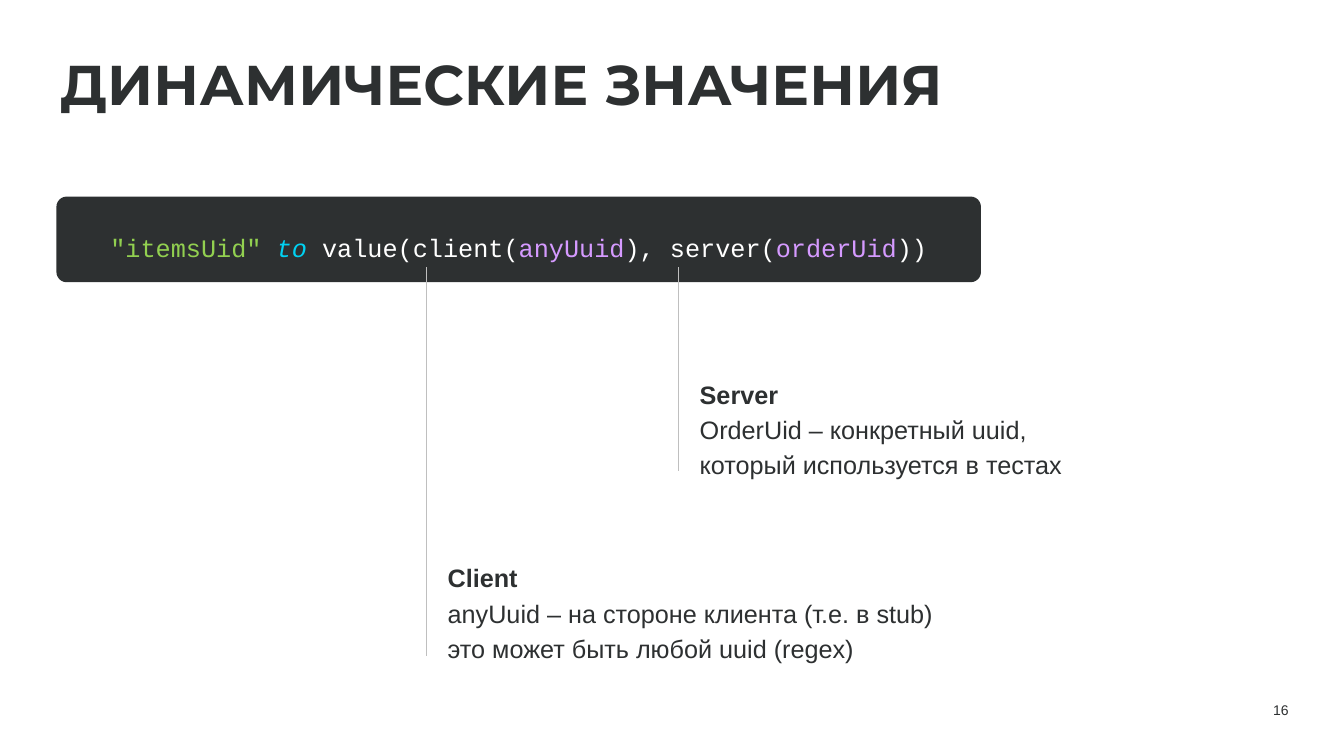
import pptx
import pptx.util
import pptx.dml.color
import pptx.enum.shapes
import pptx.enum.text
import lxml.etree
from dataclasses import dataclass

Inches = pptx.util.Inches
Pt = pptx.util.Pt
ALIGN = pptx.enum.text.PP_ALIGN
ANCHOR = pptx.enum.text.MSO_ANCHOR


@dataclass(frozen=True)
class Theme:
    dark: str = "2D3031"
    white: str = "FFFFFF"
    rule: str = "BFBFBF"
    string: str = "92D050"
    keyword: str = "00D1F2"
    argument: str = "D59AFF"
    heading_font: str = "Montserrat"
    body_font: str = "Arial"
    code_font: str = "Courier New"
    title_size: int = 40
    body_size: int = 18
    number_size: int = 10


THEME = Theme()


def rgb(value):
    return pptx.dml.color.RGBColor.from_string(value)


def add_run(p, text, font=THEME.body_font, size=THEME.body_size,
            color=THEME.dark, bold=False, italic=False, tracking=None):
    r = p.add_run()
    r.text = text
    r.font.name = font
    r.font.size = Pt(size)
    r.font.color.rgb = rgb(color)
    r.font.bold = bold
    r.font.italic = italic
    if tracking is not None:
        r.font._element.set("spc", str(round(tracking * 100)))


def set_frame(tf, anchor=ANCHOR.TOP, inset=0):
    tf.word_wrap = True
    tf.vertical_anchor = anchor
    tf.margin_left = tf.margin_right = 0
    tf.margin_top = tf.margin_bottom = Inches(inset)


def add_text(s, box, lines, align=ALIGN.LEFT, anchor=ANCHOR.TOP, spacing=1.0):
    tf = s.shapes.add_textbox(*map(Inches, box)).text_frame
    set_frame(tf, anchor)
    for i, (text, style) in enumerate(lines):
        p = tf.add_paragraph() if i else tf.paragraphs[0]
        p.alignment = align
        p.line_spacing = spacing
        add_run(p, text, **style)


def add_code(s, box, tokens):
    sp = s.shapes.add_shape(
        pptx.enum.shapes.MSO_SHAPE.ROUNDED_RECTANGLE, *map(Inches, box))
    sp.adjustments[0] = 0.12
    sp.shadow.inherit = False
    sp.fill.solid()
    sp.fill.fore_color.rgb = rgb(THEME.dark)
    sp.line.fill.background()
    set_frame(sp.text_frame, ANCHOR.MIDDLE, inset=0.2)
    p = sp.text_frame.paragraphs[0]
    p.alignment = ALIGN.CENTER
    p.line_spacing = 1.5
    for text, color in tokens:
        add_run(p, text, font=THEME.code_font, color=color,
                italic=color == THEME.keyword)


def add_rule(s, x, top, bottom):
    line = s.shapes.add_connector(
        pptx.enum.shapes.MSO_CONNECTOR.STRAIGHT,
        *map(Inches, (x, top, x, bottom)))
    line.line.color.rgb = rgb(THEME.rule)
    line.line.width = Pt(1)
    lxml.etree.SubElement(line._element.spPr,
                          pptx.oxml.ns.qn("a:effectLst"))


def add_callout(s, x, top, width, bottom, name, note):
    add_rule(s, x, 2.65, bottom)
    add_text(s, (x + 0.21, top, width, 1.03),
             [(name, dict(bold=True)), (note, {})], spacing=1.17)


def main():
    prs = pptx.Presentation()
    prs.slide_width = Inches(13.33)
    prs.slide_height = Inches(7.5)
    s = prs.slides.add_slide(prs.slide_layouts[6])

    add_code(s, (0.56, 1.95, 9.17, 0.85), [
        ('"itemsUid" ', THEME.string),
        ("to ", THEME.keyword),
        ("value(client(", THEME.white),
        ("anyUuid", THEME.argument),
        ("), server(", THEME.white),
        ("orderUid", THEME.argument),
        ("))", THEME.white),
    ])
    add_text(s, (0.6, 0.49, 9.68, 0.96), [
        ("ДИНАМИЧЕСКИЕ ЗНАЧЕНИЯ",
         dict(font=THEME.heading_font, size=THEME.title_size,
              bold=True, tracking=0.2))])
    add_callout(s, 6.73, 3.71, 4.16, 4.67, "Server",
                "OrderUid – конкретный uuid, который используется в тестах")
    add_callout(s, 4.23, 5.53, 5.01, 6.51, "Client",
                "anyUuid – на стороне клиента (т.е. в stub) "
                "это может быть любой uuid (regex)")
    add_text(s, (9.71, 6.95, 3.07, 0.18),
             [("16", dict(size=THEME.number_size))],
             align=ALIGN.RIGHT, anchor=ANCHOR.MIDDLE)

    prs.save("out.pptx")


if __name__ == "__main__":
    main()
